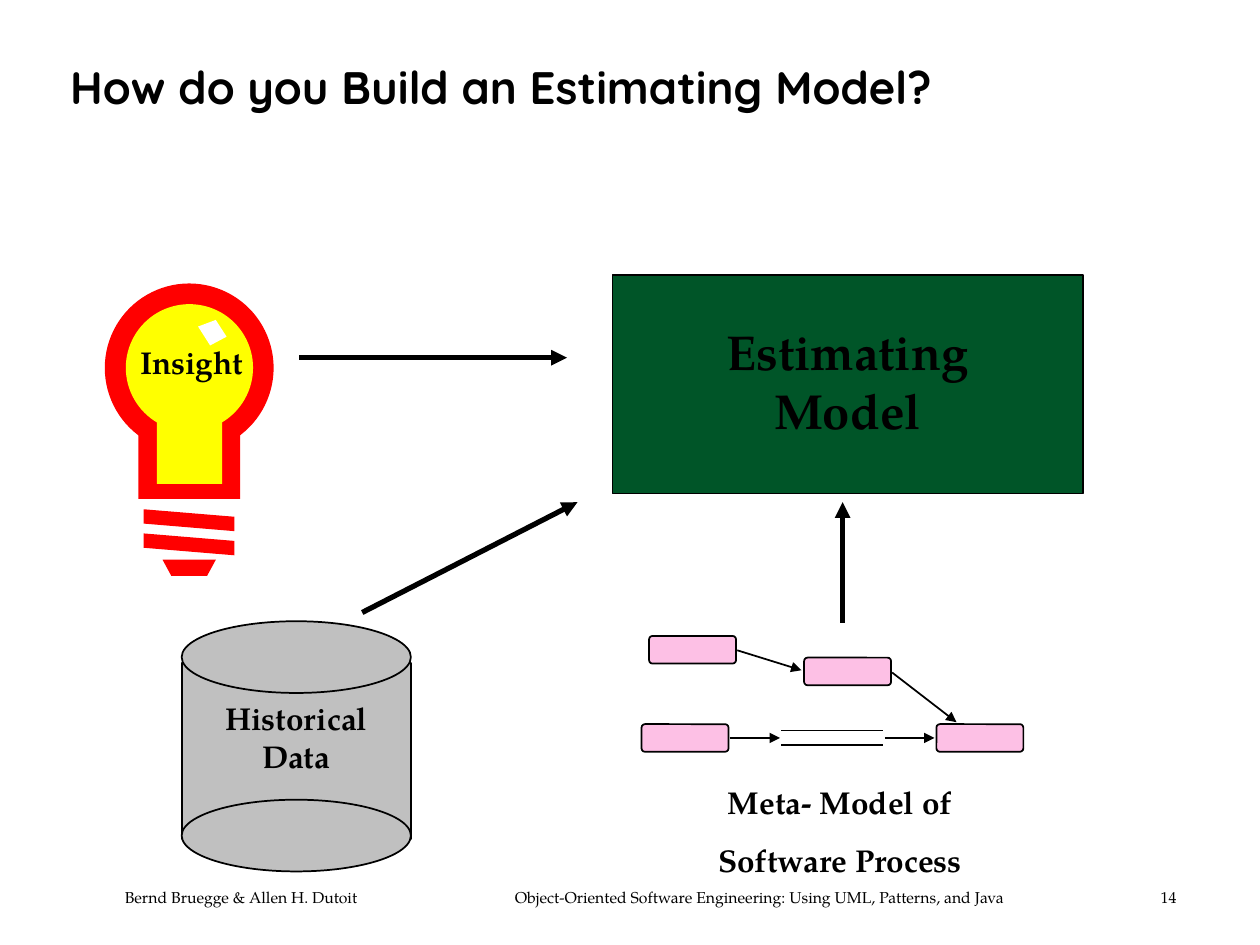
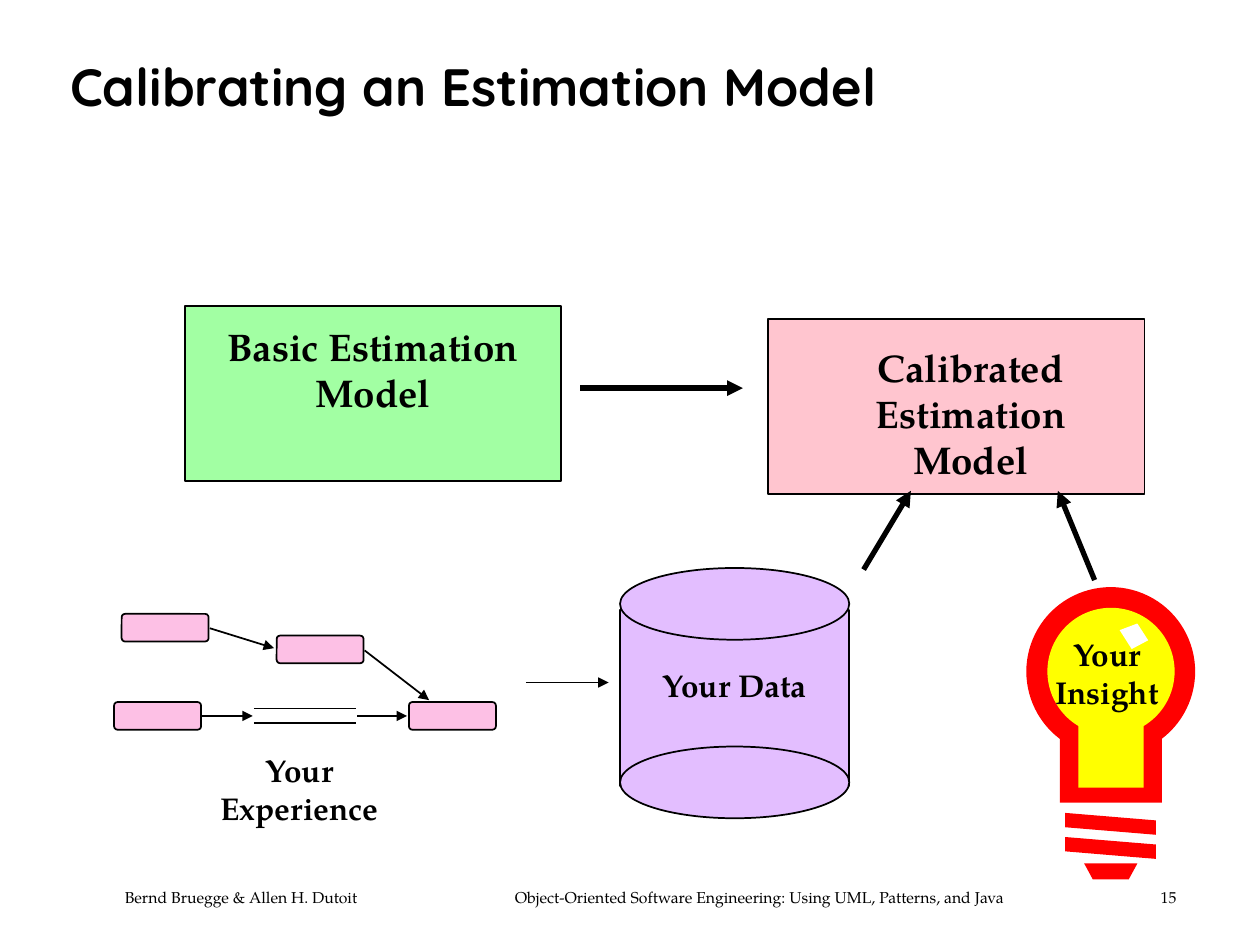
from dataclasses import dataclass

from lxml.etree import SubElement
from pptx import Presentation
from pptx.dml.color import RGBColor
from pptx.enum.shapes import MSO_CONNECTOR, MSO_SHAPE
from pptx.enum.text import MSO_ANCHOR, PP_ALIGN
from pptx.oxml.ns import qn
from pptx.util import Pt

BLACK = RGBColor(0x00, 0x00, 0x00)
WHITE = RGBColor(0xFF, 0xFF, 0xFF)
RED = RGBColor(0xFF, 0x00, 0x00)
YELLOW = RGBColor(0xFF, 0xFF, 0x00)
GRAY = RGBColor(0xC0, 0xC0, 0xC0)
PINK = RGBColor(0xFD, 0xC0, 0xE5)
ROSE = RGBColor(0xFF, 0xC5, 0xCF)
LILAC = RGBColor(0xE3, 0xBE, 0xFF)
DARK_GREEN = RGBColor(0x00, 0x55, 0x28)
LIGHT_GREEN = RGBColor(0xA2, 0xFF, 0xA3)

TITLE_FONT = "Quicksand"
BODY_FONT = "TeX Gyre Pagella"
AUTHORS = "Bernd Bruegge & Allen H. Dutoit"
BOOK = "Object-Oriented Software Engineering: Using UML, Patterns, and Java"


@dataclass
class Box:
    left: float
    top: float
    width: float
    height: float

    def inner(self, left, top, width, height):
        return Box(self.left + left, self.top + top, width, height)

    def point(self, x, y):
        return self.left + x, self.top + y

    def lengths(self):
        return Pt(self.left), Pt(self.top), Pt(self.width), Pt(self.height)


def paint(shape, fill, outlined):
    shape.shadow.inherit = False
    shape.fill.solid()
    shape.fill.fore_color.rgb = fill
    if outlined:
        shape.line.color.rgb = BLACK
        shape.line.width = Pt(1)
    else:
        shape.line.fill.background()


def add_figure(shapes, kind, box, fill, outlined=True):
    shape = shapes.add_shape(kind, *box.lengths())
    paint(shape, fill, outlined)
    return shape


def add_polygon(shapes, box, points, fill):
    corners = [tuple(Pt(value) for value in box.point(*point)) for point in points]
    builder = shapes.build_freeform(*corners[0], scale=1.0)
    builder.add_line_segments(corners[1:], close=True)
    paint(builder.convert_to_shape(), fill, False)


def add_line(shapes, start, end, width=1, arrow=True):
    ends = [Pt(value) for value in (*start, *end)]
    connector = shapes.add_connector(MSO_CONNECTOR.STRAIGHT, *ends)
    connector.line.color.rgb = BLACK
    connector.line.width = Pt(width)
    if arrow:
        SubElement(connector.line._get_or_add_ln(), qn("a:tailEnd"), type="triangle")
    SubElement(connector._element.spPr, qn("a:effectLst"))


def add_text_frame(shapes, box, side_inset=7.2, top_inset=3.6):
    frame = shapes.add_textbox(*box.lengths()).text_frame
    frame.word_wrap = True
    frame.margin_left = frame.margin_right = Pt(side_inset)
    frame.margin_top = frame.margin_bottom = Pt(top_inset)
    return frame


def style(paragraph, font, size, bold=True):
    paragraph.font.name = font
    paragraph.font.size = Pt(size)
    paragraph.font.bold = bold
    paragraph.font.color.rgb = BLACK


def add_label(shapes, box, text, size=18, side_inset=7.2, top_inset=3.6):
    frame = add_text_frame(shapes, box, side_inset, top_inset)
    frame.text = text
    for index, paragraph in enumerate(frame.paragraphs):
        paragraph.alignment = PP_ALIGN.CENTER
        if index:
            paragraph.space_before = Pt(11.2)
        style(paragraph, BODY_FONT, size)


def add_title(slide, text, size):
    frame = add_text_frame(slide.shapes, Box(33, 17.3, 642, 67.7))
    frame.vertical_anchor = MSO_ANCHOR.MIDDLE
    frame.text = text
    paragraph = frame.paragraphs[0]
    paragraph.line_spacing = 0.9
    style(paragraph, TITLE_FONT, size)


def add_footer(slide, number):
    frame = add_text_frame(slide.shapes, Box(64.2, 504, 638, 18))
    frame.text = f"{AUTHORS}\t{BOOK}\t{number}"
    paragraph = frame.paragraphs[0]
    tabs = SubElement(paragraph._p.get_or_add_pPr(), qn("a:tabLst"))
    for position, alignment in ((222.9, "l"), (601, "r")):
        SubElement(tabs, qn("a:tab"), pos=str(Pt(position)), algn=alignment)
    style(paragraph, BODY_FONT, 9, bold=False)


def draw_cylinder(slide, box, fill, text, label_top):
    shapes = slide.shapes.add_group_shape().shapes
    lid = 41
    body = box.inner(0, 23.8, box.width, 100.8)
    add_figure(shapes, MSO_SHAPE.RECTANGLE, body, fill)
    for top in (0, box.height - lid):
        add_figure(shapes, MSO_SHAPE.OVAL, box.inner(0, top, box.width, lid), fill)
    add_label(shapes, box.inner(5, label_top, box.width - 10, 50), text)


def draw_process(slide, box):
    shapes = slide.shapes.add_group_shape().shapes
    for left, top in ((4.3, 0), (168.5, 50.4), (92.9, 12.4), (0, 50.4)):
        step = add_figure(shapes, MSO_SHAPE.ROUNDED_RECTANGLE,
                          box.inner(left, top, 49.7, 15.8), PINK)
        step.adjustments[0] = 0.125
    for y in (54, 62.2):
        add_line(shapes, box.point(79.9, y), box.point(138.2, y), arrow=False)
    flows = (
        ((54.7, 8.2), (91.4, 19.6)),
        ((50.4, 58.3), (79.2, 58.3)),
        ((139, 58.3), (167.4, 58.3)),
        ((143.2, 20.9), (180, 49.3)),
    )
    for start, end in flows:
        add_line(shapes, box.point(*start), box.point(*end))


def draw_bulb(slide, box):
    shapes = slide.shapes.add_group_shape().shapes
    parts = (
        (MSO_SHAPE.RECTANGLE, (19.1, 64.8, 58.3, 58.3), RED),
        (MSO_SHAPE.OVAL, (0, 0, 96.5, 96.5), RED),
        (MSO_SHAPE.OVAL, (12, 11.8, 72.7, 72.7), YELLOW),
        (MSO_SHAPE.RECTANGLE, (29.7, 71.4, 37.4, 43.2), YELLOW),
    )
    for kind, place, fill in parts:
        add_figure(shapes, kind, box.inner(*place), fill, outlined=False)
    for top in (129, 142.8):
        thread = ((22.2, top), (74, top + 4.3), (74, top + 12.5), (22.2, top + 8.2))
        add_polygon(shapes, box, thread, RED)
    tip = ((33, 157.8), (63.5, 157.8), (58.5, 167), (38, 167))
    add_polygon(shapes, box, tip, RED)
    glint = ((53.3, 24.6), (63.4, 20.8), (69.6, 30.4), (60.2, 35.4))
    add_polygon(shapes, box, glint, WHITE)


def draw_model(slide, box, fill, label_box, text, size, side_inset=7.2, top_inset=3.6):
    shapes = slide.shapes.add_group_shape().shapes
    add_figure(shapes, MSO_SHAPE.RECTANGLE, box, fill)
    add_label(shapes, box.inner(*label_box), text, size, side_inset, top_inset)


def build_model_slide(presentation):
    slide = presentation.slides.add_slide(presentation.slide_layouts[6])
    shapes = slide.shapes
    add_footer(slide, 14)
    draw_cylinder(slide, Box(103.8, 355, 131, 143), GRAY, "Historical Data", 41)
    draw_process(slide, Box(366.6, 363.4, 218.2, 66.2))
    add_label(shapes, Box(384, 444.2, 192, 61), "Meta- Model of\nSoftware Process")
    draw_model(slide, Box(350, 157, 269, 125), DARK_GREEN,
               (23, 23, 222.5, 74), "Estimating Model", 28)
    draw_bulb(slide, Box(59.9, 162, 96.5, 167))
    add_label(shapes, Box(67, 192.2, 85, 29), "Insight")
    for start, end in (((207, 350), (330, 287)), ((481.5, 356), (481.5, 287)),
                       ((171, 204.4), (324, 204.4))):
        add_line(shapes, start, end, width=3)
    add_title(slide, "How do you Build an Estimating Model?", 26)


def build_calibration_slide(presentation):
    slide = presentation.slides.add_slide(presentation.slide_layouts[6])
    shapes = slide.shapes
    add_footer(slide, 15)
    draw_model(slide, Box(105.7, 175, 215, 100), LIGHT_GREEN,
               (18.1, 6.5, 178.6, 58), "Basic Estimation Model", 22, 5.8, 2.9)
    draw_cylinder(slide, Box(354.3, 324.6, 131, 143), LILAC, "Your Data", 52.6)
    draw_process(slide, Box(65.2, 350.8, 218.2, 66.2))
    add_label(shapes, Box(113.8, 425.8, 114.5, 50), "Your Experience")
    draw_model(slide, Box(439, 182.2, 215, 100), ROSE,
               (40.5, 11.5, 150.5, 85), "Calibrated Estimation Model", 22, 5.8, 2.9)
    draw_bulb(slide, Box(586.5, 335.5, 96.5, 167))
    add_label(shapes, Box(593.3, 359.5, 78.5, 50), "Your Insight")
    add_line(shapes, (300.5, 390), (347.8, 390))
    for start, end in (((493.5, 325.5), (520.5, 280.5)), ((331.5, 221.8), (424.5, 221.8)),
                       ((625.5, 331.5), (604.5, 280.5))):
        add_line(shapes, start, end, width=3)
    add_title(slide, "Calibrating an Estimation Model", 30)


def main():
    presentation = Presentation()
    presentation.slide_width = Pt(720)
    presentation.slide_height = Pt(540)
    build_model_slide(presentation)
    build_calibration_slide(presentation)
    presentation.save("out.pptx")


if __name__ == "__main__":
    main()
